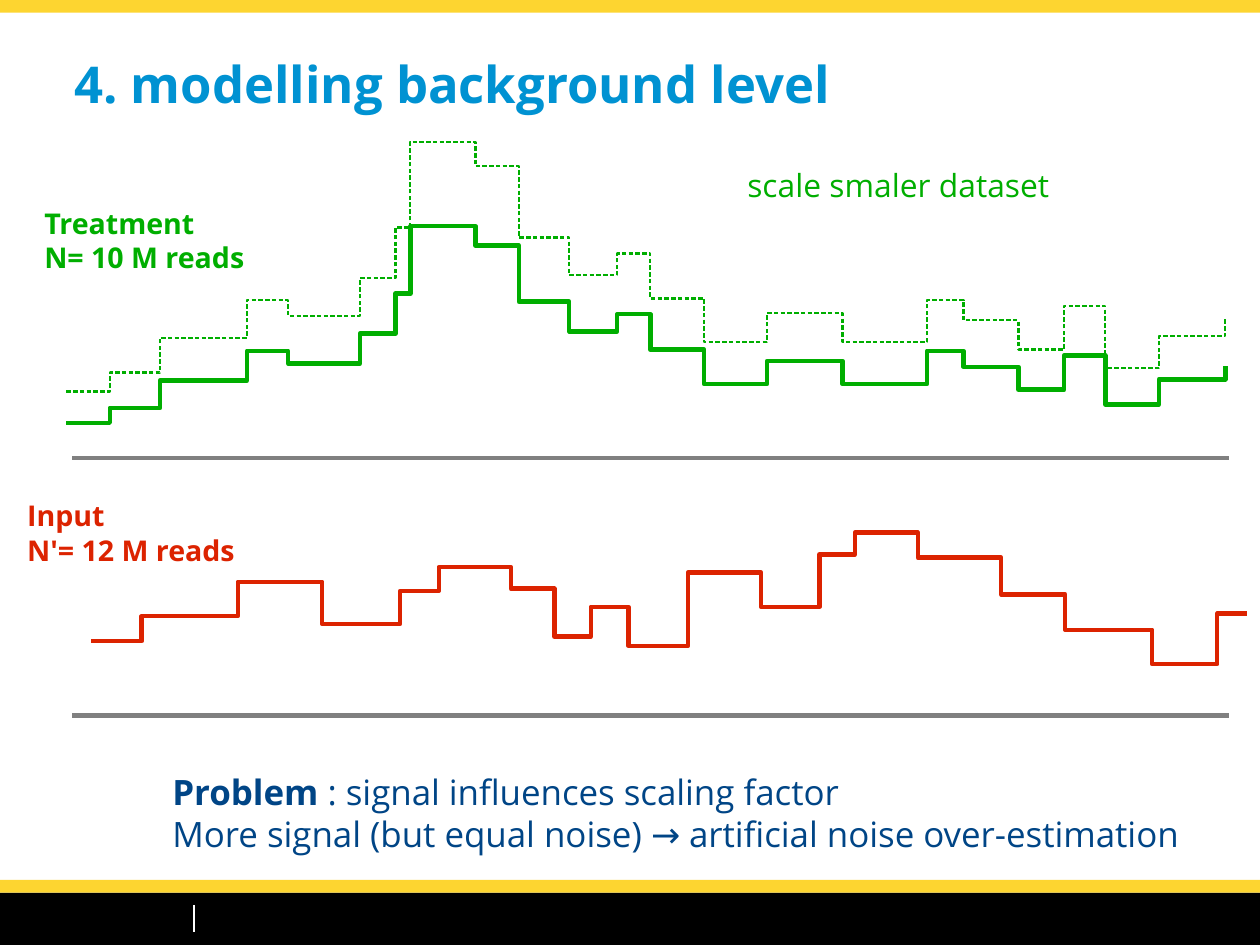
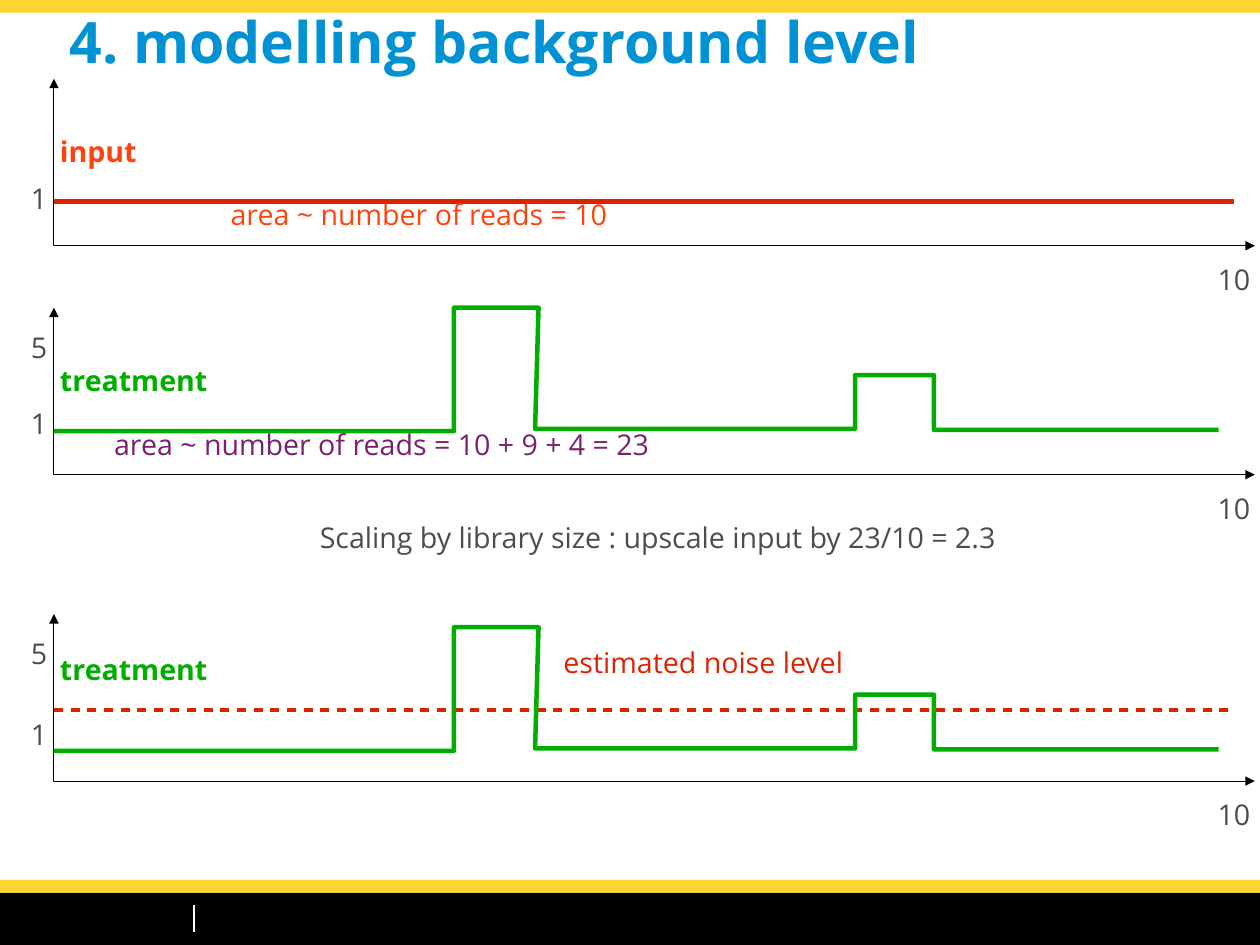
from dataclasses import dataclass

from lxml import etree
from pptx import Presentation
from pptx.dml.color import RGBColor
from pptx.enum.shapes import MSO_CONNECTOR, MSO_SHAPE
from pptx.enum.text import MSO_ANCHOR, MSO_AUTO_SIZE, PP_ALIGN
from pptx.oxml.ns import qn
from pptx.util import Pt

RECT = MSO_SHAPE.RECTANGLE
STRAIGHT = MSO_CONNECTOR.STRAIGHT
TOP = MSO_ANCHOR.TOP
LEFT = PP_ALIGN.LEFT
GROW = MSO_AUTO_SIZE.SHAPE_TO_FIT_TEXT
FIXED = MSO_AUTO_SIZE.NONE


@dataclass(frozen=True)
class Theme:
    font: str = "Open Sans"
    black: str = "000000"
    white: str = "FFFFFF"
    yellow: str = "FDD530"
    title: str = "0092D2"
    green: str = "00AE00"
    red: str = "DC2300"
    orange: str = "FF420E"
    purple: str = "77216F"
    navy: str = "004586"
    gray: str = "808080"
    ink: str = "4C4C4C"
    body: int = 18
    note: int = 20
    lead: int = 22
    head: int = 32
    big: int = 36
    thick: float = 2.83
    thin: float = 1.42
    hair: float = 0.6


T = Theme()
WIDE, HIGH = 793.75, 595.25
BAND = 8
TITLE = "4. modelling background level"

# Steps of a signal: (right end, depth below the highest step)
READS = [
    (27.4, 123.8), (59, 114.5), (113.8, 97.2), (139.7, 78.5), (185, 86.4),
    (207.4, 67.7), (216.7, 42.5), (257.8, 0), (285.1, 12.2), (316.8, 47.5),
    (347, 66.2), (367.9, 55.4), (401.8, 77.8), (441.4, 99.4), (488.9, 84.9),
    (542.2, 99.4), (565.2, 78.5), (599.8, 88.6), (628.6, 103), (654.5, 81.4),
    (688.3, 112.3), (730.1, 96.5), (730.1, 87.8),
]
INPUT = [
    (31.7, 68.4), (92.2, 52.6), (145.4, 31), (194.4, 57.6), (218.9, 36.7),
    (264.2, 21.6), (291.6, 35.3), (314.6, 65.5), (338.4, 46.8), (375.8, 71.3),
    (421.9, 25.2), (458.6, 46.8), (481, 13.7), (520.6, 0), (573.1, 15.8),
    (613.4, 38.9), (668.2, 61.2), (709.2, 82.8), (727.9, 51.1),
]
PULSE = [
    (0, 77.8), (252, 77.8), (252, 0), (305.3, 0), (303.1, 76.3),
    (504.7, 76.3), (504.7, 42.5), (554.4, 42.5), (554.4, 77), (733.7, 77),
]


def style(font, size, color, bold=False):
    font.name, font.size, font.bold = T.font, Pt(size), bold
    font.color.rgb = RGBColor.from_string(color)


def text(slide, box, words, lead="", size=T.body, color=T.ink, bold=False):
    """Unwrapped text; lead is a bold opening of the first line."""
    frame = slide.shapes.add_textbox(*map(Pt, box)).text_frame
    frame.word_wrap = False
    frame.auto_size = GROW
    for i, line in enumerate(words.split("\n")):
        para = frame.add_paragraph() if i else frame.paragraphs[0]
        para.alignment = LEFT
        if lead and not i:
            run = para.add_run()
            run.text = lead
            style(run.font, size, color, True)
        run = para.add_run()
        run.text = line
        style(run.font, size, color, bold)


def stroke(shape, color, width, dash=None, arrows=False):
    """Format a line; dash is (dash, gap) in percent of the width."""
    shape.line.color.rgb = RGBColor.from_string(color)
    shape.line.width = Pt(width)
    ln = shape._element.spPr.find(qn("a:ln"))
    if dash:
        cust = etree.SubElement(ln, qn("a:custDash"))
        etree.SubElement(cust, qn("a:ds"), d=f"{dash[0]}000", sp=f"{dash[1]}000")
    etree.SubElement(ln, qn("a:round"))
    if arrows:
        for end in ("a:headEnd", "a:tailEnd"):
            etree.SubElement(ln, qn(end), type="triangle")


def rule(slide, ends, color, width=T.thick, dash=None):
    link = slide.shapes.add_connector(STRAIGHT, *map(Pt, ends))
    stroke(link, color, width, dash)
    etree.SubElement(link._element.spPr, qn("a:effectLst"))


def trace(slide, x, y, points, color, width=T.thick, **look):
    """Open outline whose points are relative to (x, y)."""
    spots = [(Pt(x + dx), Pt(y + dy)) for dx, dy in points]
    pen = slide.shapes.build_freeform(*spots[0])
    pen.add_line_segments(spots[1:], close=False)
    shape = pen.convert_to_shape()
    shape.fill.background()
    shape.shadow.inherit = False
    stroke(shape, color, width, **look)


def stairs(steps, scale=1):
    left, points = 0, []
    for right, depth in steps:
        points += [(left, depth * scale), (right, depth * scale)]
        left = right
    return points


def band(slide, top, high, color):
    bar = slide.shapes.add_shape(RECT, 0, Pt(top), Pt(WIDE), Pt(high))
    bar.fill.solid()
    bar.fill.fore_color.rgb = RGBColor.from_string(color)
    bar.line.fill.background()
    bar.shadow.inherit = False


def page(deck, box, size):
    """Add a slide with its bands, footer mark and title."""
    slide = deck.slides.add_slide(deck.slide_layouts[5])
    foot = 562.25
    band(slide, foot, HIGH - foot, T.black)
    for top in (0, foot - BAND):
        band(slide, top, BAND, T.yellow)
    rule(slide, (122.4, 570, 122.4, 587), T.white, T.thin)
    head = slide.shapes.title
    head.left, head.top, head.width, head.height = map(Pt, box)
    frame = head.text_frame
    frame.word_wrap = True
    frame.auto_size = FIXED
    frame.vertical_anchor = TOP
    para = frame.paragraphs[0]
    para.alignment = LEFT
    run = para.add_run()
    run.text = TITLE
    style(run.font, size, T.title, True)
    return slide


def panel(slide, top, name, color, one, tag, five=None):
    """Axes with their labels; one, five and tag are offsets from the top."""
    left, wide, high = 34, 756.5, 105.2
    trace(slide, left, top, [(0, 0), (0, high), (wide, high)],
          T.black, T.hair, arrows=True)
    text(slide, (left - 3.3, top + tag, 112, 32), name, color=color, bold=True)
    marks = [("1", one)] + ([("5", five)] if five is not None else [])
    for mark, drop in marks:
        text(slide, (left - 21.6, top + drop, 26, 32), mark)
    text(slide, (left + 726, top + 111.8, 37, 32), "10")


def signals(deck):
    slide = page(deck, (39.6, 29.5, 714, 51), T.head)
    trace(slide, 41.8, 142.5, stairs(READS), T.green)
    trace(slide, 41.8, 89.3, stairs(READS, 1.27), T.green, T.thin,
          dash=(200, 100))
    trace(slide, 57.6, 335.5, stairs(INPUT), T.red)
    for y in (288.5, 450.7):
        rule(slide, (45.4, y, 774, y), T.gray)
    text(slide, (20.8, 126, 142, 56), "Treatment\nN= 10 M reads",
         color=T.green, bold=True)
    text(slide, (10, 310.3, 147, 56), "Input\nN'= 12 M reads",
         color=T.red, bold=True)
    text(slide, (463.7, 100.8, 206, 34.6), "scale smaler dataset",
         size=T.note, color=T.green)
    text(slide, (101.5, 481.7, 652, 67),
         " : signal influences scaling factor\n"
         "More signal (but equal noise) → artificial noise over-estimation",
         lead="Problem", size=T.lead, color=T.navy)


def scaling(deck):
    slide = page(deck, (36.7, 0.7, 714, 80), T.big)
    first, second, third = 49.6, 193.8, 386.8
    left, right = 34, 777.6

    panel(slide, first, "input", T.orange, one=60.9, tag=31.4)
    rule(slide, (left, first + 77.2, right, first + 77.2), T.red)
    text(slide, (138.2, first + 71, 254, 32), "area ~ number of reads = 10",
         color=T.orange)

    panel(slide, second, "treatment", T.green, one=58.1, tag=31.5, five=10.4)
    text(slide, (64.8, second + 71.5, 355, 32),
         "area ~ number of reads = 10 + 9 + 4 = 23", color=T.purple)

    text(slide, (194.4, 324, 443, 32),
         "Scaling by library size : upscale input by 23/10 = 2.3")

    panel(slide, third, "treatment", T.green, one=61, tag=20, five=10)
    rule(slide, (left, third + 60.4, right, third + 60.4), T.red,
         dash=(200, 170))
    text(slide, (347.8, third + 15.7, 192, 32), "estimated noise level",
         color=T.red)
    for top in (second, third + 8.3):
        trace(slide, left, top, PULSE, T.green)


def main():
    deck = Presentation()
    deck.slide_width, deck.slide_height = Pt(WIDE), Pt(HIGH)
    signals(deck)
    scaling(deck)
    deck.save("out.pptx")


if __name__ == "__main__":
    main()
